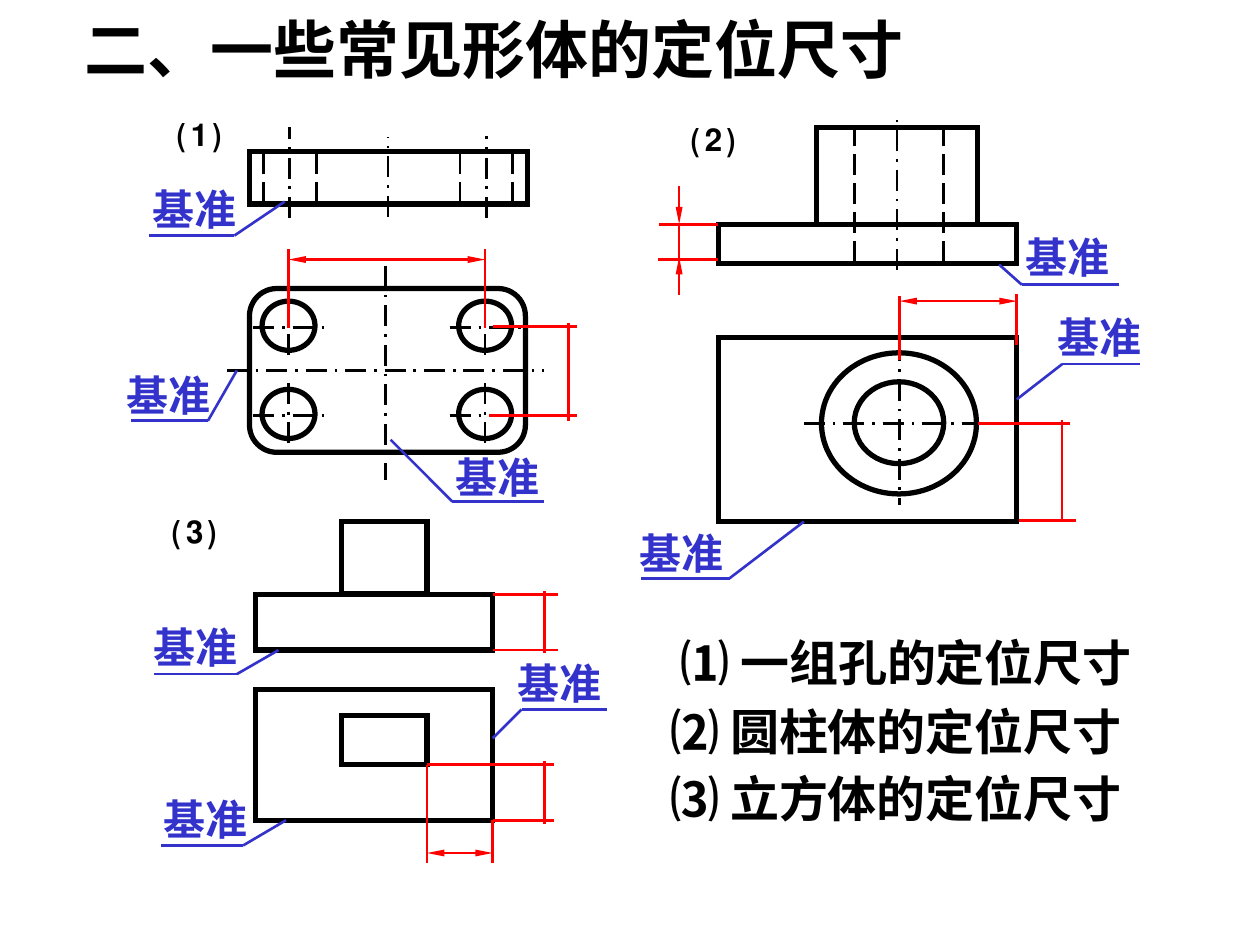
import pptx
import pptx.util
import pptx.dml.color
import pptx.enum.dml
import pptx.enum.shapes
import pptx.enum.text
import pptx.oxml.ns
import lxml.etree

PX = 9144  # 100 px to the inch
HUES = {"ink": "000000", "size": "FF0000", "base": "3333CC", "page": "FFFFFF"}
KIND = pptx.enum.shapes.MSO_SHAPE
DASH = pptx.enum.dml.MSO_LINE
ALIGN = pptx.enum.text.PP_ALIGN
AXIS, HIDDEN = DASH.LONG_DASH_DOT, DASH.LONG_DASH
CJK = "Noto Sans CJK SC"


def tone(name):
    return pptx.dml.color.RGBColor.from_string(HUES[name])


def add_tag(node, tag, **attrs):
    return lxml.etree.SubElement(node, pptx.oxml.ns.qn(tag), **attrs)


def text(slide, box, words, x, y, w, h, size=24, hue="ink", face="Arial",
         align=ALIGN.CENTER, wrap=False):
    item = slide.shapes.add_textbox(
        (box[0] + x) * PX, (box[1] + y) * PX, w * PX, h * PX)
    frame = item.text_frame
    frame.word_wrap = wrap
    frame.auto_size = pptx.enum.text.MSO_AUTO_SIZE.SHAPE_TO_FIT_TEXT
    frame.vertical_anchor = pptx.enum.text.MSO_ANCHOR.MIDDLE
    para = frame.paragraphs[0]
    para.alignment = align
    run = para.add_run()
    run.text = words
    run.font.size = pptx.util.Pt(size)
    run.font.bold = True
    run.font.name = face
    run.font.color.rgb = tone(hue)
    add_tag(run.font._element, "a:ea", typeface=face)


def shape(slide, box, x, y, w, h, kind=KIND.RECTANGLE):
    item = slide.shapes.add_shape(
        kind, (box[0] + x) * PX, (box[1] + y) * PX, w * PX, h * PX)
    item.shadow.inherit = False
    item.fill.background()
    item.line.color.rgb = tone("ink")
    item.line.width = pptx.util.Pt(3)
    add_tag(item.line._get_or_add_ln(), "a:miter", lim="800000")
    return item


def line(slide, box, x1, y1, x2, y2, hue="ink", dash=None, ends=()):
    item = slide.shapes.add_connector(
        pptx.enum.shapes.MSO_CONNECTOR.STRAIGHT,
        (box[0] + x1) * PX, (box[1] + y1) * PX,
        (box[0] + x2) * PX, (box[1] + y2) * PX)
    item.line.color.rgb = tone(hue)
    item.line.width = pptx.util.Pt(1.5)
    if dash:
        item.line.dash_style = dash
    for end in ends:
        add_tag(item.line._get_or_add_ln(), "a:" + end,
                type="triangle", w="sm", len="lg")
    add_tag(item._element.spPr, "a:effectLst")


def sizes(slide, box, rows):
    """Plain red lines of the dimensions."""
    for row in rows:
        line(slide, box, *row, hue="size")


def span(slide, box, x1, x2, y):
    """Dimension line with an arrow at both ends."""
    line(slide, box, x1, y, x2, y, hue="size", ends=("headEnd", "tailEnd"))


def datum(slide, box, spot, tip, bend, stop):
    """Datum label at spot, with a leader from tip over bend to stop."""
    text(slide, box, "基准", *spot, 100, 50, hue="base")
    line(slide, box, *tip, *bend, hue="base")
    line(slide, box, *bend, *stop, hue="base")


def mark(slide, box, words, x, y):
    text(slide, box, words, x, y, 54, 50)


def hole(slide, box, x, y):
    shape(slide, box, x - 21, y - 21, 42, 39, KIND.OVAL)
    line(slide, box, x - 28, y, x + 31, y, dash=AXIS)
    line(slide, box, x, y - 26, x, y + 26, dash=AXIS)


def plate(slide, box):
    mark(slide, box, "⑴", 41, 8)
    # Front view
    shape(slide, box, 108, 50, 221, 42)
    for x, low, top in ((140, 103, 31), (218, 102, 39), (296, 103, 38)):
        line(slide, box, x, low, x, top, dash=AXIS)
    for x in (119, 161, 275, 317):
        line(slide, box, x, 91, x, 50, dash=HIDDEN)
    # Top view
    shape(slide, box, 108, 159, 219, 130, KIND.ROUNDED_RECTANGLE)
    for x in (139, 295):
        for y in (190, 260):
            hole(slide, box, x, y)
    line(slide, box, 90, 224, 342, 224, dash=AXIS)
    line(slide, box, 216, 141, 216, 311, dash=AXIS)
    # Dimensions
    sizes(slide, box, ((139, 190, 139, 128), (295, 190, 295, 128),
                       (301, 189, 368, 189), (298, 260, 368, 260),
                       (361, 186, 361, 264)))
    span(slide, box, 139, 295, 136)
    # Datums
    datum(slide, box, (14, 71), (136, 90), (96, 117), (28, 117))
    datum(slide, box, (-6, 218), (98, 224), (75, 264), (14, 264))
    datum(slide, box, (255, 283), (220, 279), (269, 328), (342, 328))


def tube(slide, box):
    mark(slide, box, "⑵", 49, 2)
    # Front view
    shape(slide, box, 80, 98, 237, 31)
    shape(slide, box, 158, 21, 128, 77)
    line(slide, box, 222, 134, 222, 12, dash=AXIS)
    for x in (188, 259):
        line(slide, box, x, 128, x, 21, dash=HIDDEN)
    # Top view
    shape(slide, box, 80, 188, 237, 146)
    shape(slide, box, 162, 200, 123, 112, KIND.OVAL)
    shape(slide, box, 188, 223, 71, 65, KIND.OVAL)
    line(slide, box, 148, 256, 299, 256, dash=AXIS)
    line(slide, box, 224, 190, 224, 321, dash=AXIS)
    # Dimensions
    sizes(slide, box, ((80, 98, 33, 98), (80, 126, 32, 126),
                       (49, 98, 49, 126), (224, 206, 224, 155),
                       (317, 194, 317, 153), (286, 256, 359, 256),
                       (319, 333, 364, 333), (353, 253, 353, 334)))
    span(slide, box, 224, 317, 159)
    line(slide, box, 49, 68, 49, 98, hue="size", ends=("tailEnd",))
    line(slide, box, 49, 124, 49, 154, hue="size", ends=("headEnd",))
    # Datums
    datum(slide, box, (307, 99), (303, 130), (321, 146), (398, 146))
    datum(slide, box, (333, 162), (317, 237), (353, 209), (415, 209))
    datum(slide, box, (1, 334), (148, 334), (89, 379), (19, 379))


def block(slide, box):
    mark(slide, box, "⑶", 17, 3)
    # Front view
    shape(slide, box, 93, 82, 188, 44)
    shape(slide, box, 161, 24, 68, 57)
    # Top view
    shape(slide, box, 93, 157, 188, 104)
    shape(slide, box, 161, 178, 68, 39)
    # Dimensions
    sizes(slide, box, ((281, 82, 333, 82), (281, 126, 333, 126),
                       (322, 79, 322, 128), (229, 217, 229, 295),
                       (281, 261, 281, 295), (229, 217, 330, 217),
                       (281, 261, 330, 261), (322, 214, 322, 264)))
    span(slide, box, 229, 281, 287)
    # Datums
    datum(slide, box, (-5, 98), (111, 126), (78, 145), (12, 145))
    datum(slide, box, (284, 127), (281, 196), (304, 173), (372, 173))
    datum(slide, box, (3, 235), (117, 261), (83, 281), (18, 281))


def notes(slide, box):
    form = dict(size=28, face=CJK, wrap=True)
    text(slide, box, "⑴ 一组孔的定位尺寸", 0, 0, 412, 57, **form)
    for words, y in (("⑵ 圆柱体的定位尺寸", 55), ("⑶ 立方体的定位尺寸", 108)):
        text(slide, box, words, 9, y, 443, 57, align=ALIGN.LEFT, **form)


def main():
    deck = pptx.Presentation()
    deck.slide_width, deck.slide_height = 1000 * PX, 750 * PX
    slide = deck.slides.add_slide(deck.slide_layouts[6])
    slide.background.fill.solid()
    slide.background.fill.fore_color.rgb = tone("page")
    text(slide, (57, 3), "二、一些常见形体的定位尺寸", 0, 0, 670, 70,
         size=36, align=ALIGN.LEFT)
    plate(slide, (90, 70))
    tube(slide, (490, 80))
    block(slide, (110, 390))
    notes(slide, (513, 497))
    deck.save("out.pptx")


if __name__ == "__main__":
    main()
